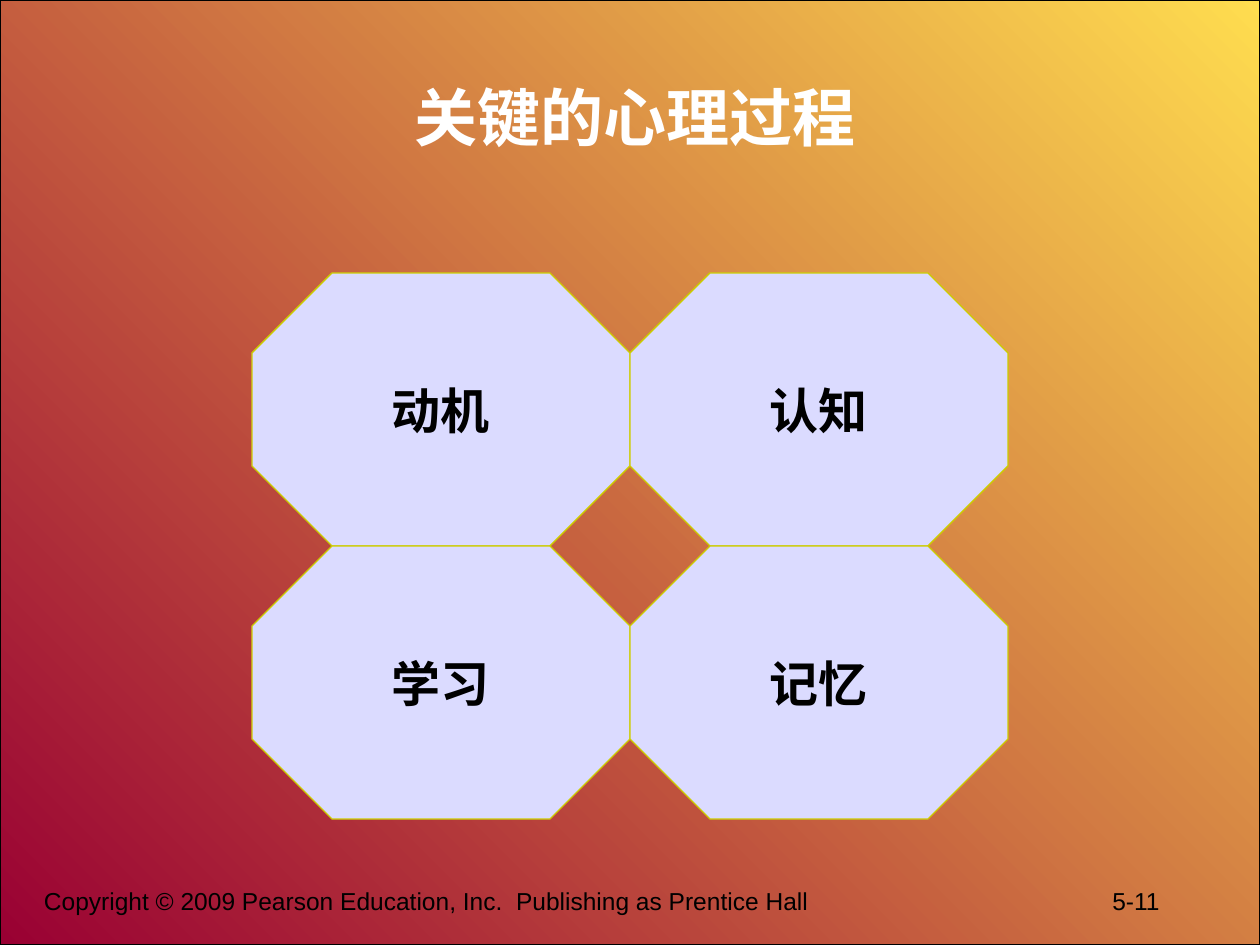
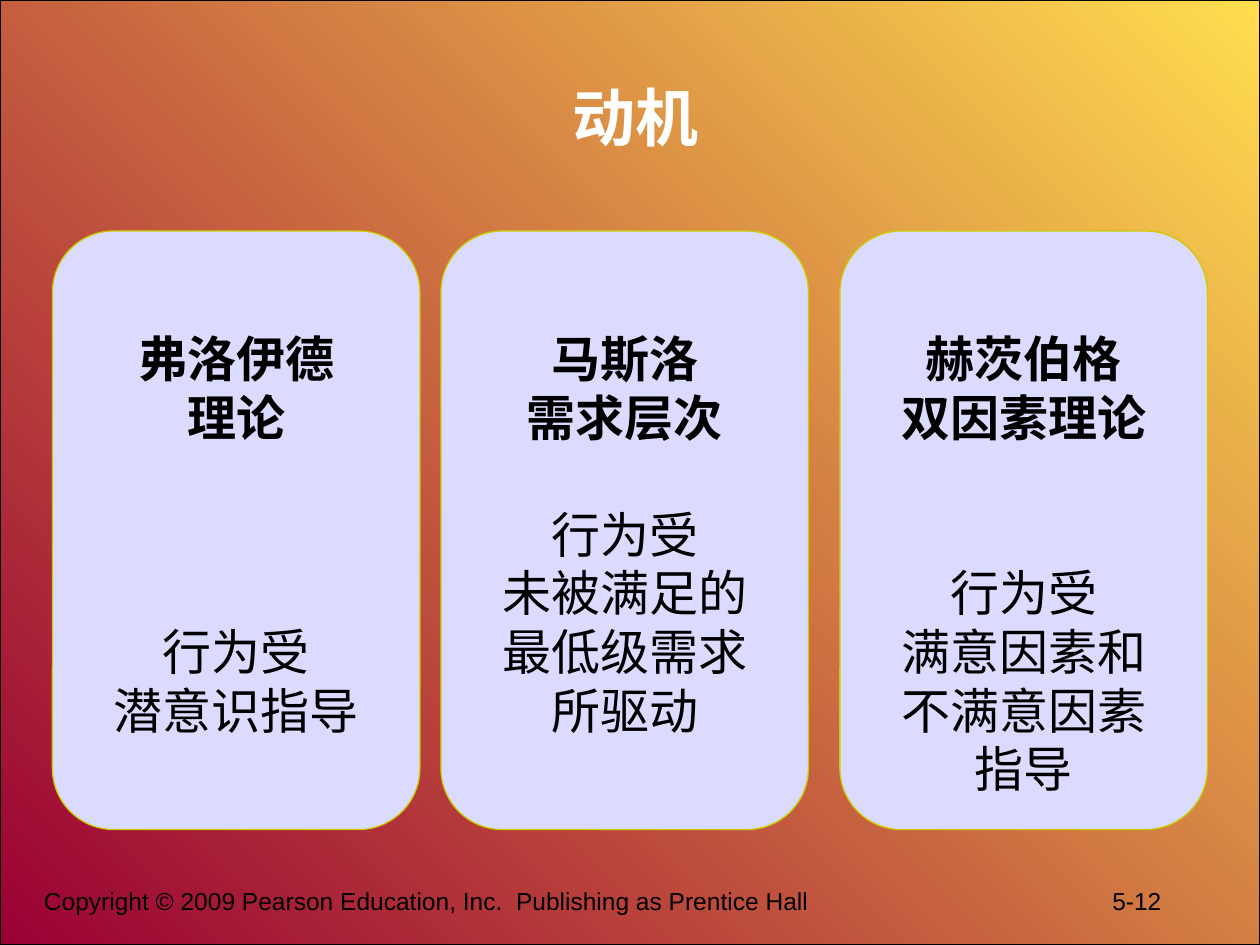
from dataclasses import dataclass

from lxml.etree import SubElement
from pptx import Presentation
from pptx.dml.color import RGBColor
from pptx.enum.shapes import MSO_SHAPE
from pptx.enum.text import MSO_ANCHOR, PP_ALIGN
from pptx.oxml.ns import qn
from pptx.presentation import Presentation as Deck
from pptx.shapes.autoshape import Shape
from pptx.slide import Slide
from pptx.text.text import TextFrame, _Paragraph as Para
from pptx.util import Pt


@dataclass(frozen=True)
class Theme:
    sun: RGBColor = RGBColor(0xFF, 0xDD, 0x4F)
    wine: RGBColor = RGBColor(0x99, 0x00, 0x33)
    pale: RGBColor = RGBColor(0xDB, 0xDB, 0xFF)
    olive: RGBColor = RGBColor(0xCC, 0xCC, 0x00)
    ink: RGBColor = RGBColor(0x00, 0x00, 0x00)
    white: RGBColor = RGBColor(0xFF, 0xFF, 0xFF)
    latin: str = "Arial"
    asian: str = "Noto Sans CJK SC"
    head: float = 36
    body: float = 28
    foot: float = 14
    pitch: float = 33.5
    edge: float = 0.75


@dataclass(frozen=True)
class Box:
    left: float
    top: float
    width: float
    height: float

    def place(self) -> tuple[Pt, Pt, Pt, Pt]:
        return Pt(self.left), Pt(self.top), Pt(self.width), Pt(self.height)


@dataclass(frozen=True)
class Theory:
    """A card; gap and drop count text lines between and above its parts."""
    left: float
    name: list[str]
    claim: list[str]
    gap: int
    drop: int = 0


THEME = Theme()
PAGE = Box(0, 0, 720, 540)
TITLE = Box(60, 21.6, 606, 90)
FOOT = Box(18, 502.5, 672, 37.5)
PAGE_TAB = 610.5
RIGHTS = "Copyright © 2009 Pearson Education, Inc.  Publishing as Prentice Hall"

TOPICS = [["动机", "认知"], ["学习", "记忆"]]
TILE = Box(144, 156, 216, 156)
CARD = Box(30, 132, 210, 342)
NUDGE = 4
THEORIES = [
    Theory(30, ["弗洛伊德", "理论"], ["行为受", "潜意识指导"], 3),
    Theory(252, ["马斯洛", "需求层次"],
           ["行为受", "未被满足的", "最低级需求", "所驱动"], 1),
    Theory(480, ["赫茨伯格", "双因素理论"],
           ["行为受", "满意因素和", "不满意因素", "指导"], 2, 1),
]


def write(para: Para, text: str, size: float, color: RGBColor,
          bold: bool = False, face: str = THEME.latin) -> None:
    run = para.add_run()
    run.text = text
    font = run.font
    font.name, font.size, font.bold = face, Pt(size), bold
    font.color.rgb = color
    SubElement(run._r.get_or_add_rPr(), qn("a:ea"), typeface=THEME.asian)


def add_line(frame: TextFrame, first: bool) -> Para:
    para = frame.paragraphs[0] if first else frame.add_paragraph()
    para.alignment = PP_ALIGN.CENTER
    return para


def add_panel(slide: Slide, kind: MSO_SHAPE, box: Box) -> Shape:
    panel = slide.shapes.add_shape(kind, *box.place())
    panel.shadow.inherit = False
    panel.fill.solid()
    panel.fill.fore_color.rgb = THEME.pale
    panel.line.color.rgb = THEME.olive
    panel.line.width = Pt(THEME.edge)
    frame = panel.text_frame
    frame.word_wrap = False
    frame.vertical_anchor = MSO_ANCHOR.MIDDLE
    return panel


def add_ground(deck: Deck, slide: Slide) -> None:
    """Draw the gradient backdrop and move it to the slide master."""
    ground = slide.shapes.add_shape(MSO_SHAPE.RECTANGLE, *PAGE.place())
    ground.shadow.inherit = False
    ground.fill.gradient()
    ground.fill.gradient_angle = 225
    for stop, color in zip(ground.fill.gradient_stops, (THEME.sun, THEME.wine)):
        stop.color.rgb = color
    ground.line.color.rgb = THEME.ink
    ground.line.width = Pt(THEME.edge)
    deck.slide_master.shapes.element.insert(2, ground.element)


def add_foot(slide: Slide, number: str) -> None:
    frame = slide.shapes.add_textbox(*FOOT.place()).text_frame
    frame.word_wrap = True
    para = frame.paragraphs[0]
    tabs = SubElement(para._p.get_or_add_pPr(), qn("a:tabLst"))
    SubElement(tabs, qn("a:tab"), pos=str(Pt(PAGE_TAB)), algn="l")
    write(para, f"{RIGHTS}\t{number}", THEME.foot, THEME.ink)


def add_page(deck: Deck, title: str, number: str) -> Slide:
    slide = deck.slides.add_slide(deck.slide_layouts.get_by_name("Title Only"))
    head = slide.shapes.title
    head.left, head.top, head.width, head.height = TITLE.place()
    head.text_frame.vertical_anchor = MSO_ANCHOR.MIDDLE
    write(add_line(head.text_frame, True), title, THEME.head, THEME.white,
          True, THEME.asian)
    add_foot(slide, number)
    return slide


def add_topics(slide: Slide) -> None:
    for row, names in enumerate(TOPICS):
        for col, name in enumerate(names):
            box = Box(TILE.left + col * TILE.width,
                      TILE.top + row * TILE.height, TILE.width, TILE.height)
            tile = add_panel(slide, MSO_SHAPE.OCTAGON, box)
            tile.adjustments[0] = 0.293
            write(add_line(tile.text_frame, True), name, THEME.body,
                  THEME.ink, True)


def add_theory(slide: Slide, item: Theory) -> None:
    box = Box(item.left, CARD.top, CARD.width, CARD.height)
    frame = add_panel(slide, MSO_SHAPE.ROUNDED_RECTANGLE, box).text_frame
    frame.margin_top = Pt(3.6 + NUDGE + item.drop * THEME.pitch)
    split = len(item.name)
    for index, text in enumerate(item.name + item.claim):
        para = add_line(frame, index == 0)
        para.line_spacing = Pt(THEME.pitch)
        if index == split:
            para.space_before = Pt(item.gap * THEME.pitch)
        write(para, text, THEME.body, THEME.ink, index < split)


def main() -> None:
    deck = Presentation()
    deck.slide_width, deck.slide_height = Pt(PAGE.width), Pt(PAGE.height)
    slide = add_page(deck, "关键的心理过程", "5-11")
    add_ground(deck, slide)
    add_topics(slide)
    slide = add_page(deck, "动机", "5-12")
    for item in THEORIES:
        add_theory(slide, item)
    deck.save("out.pptx")


if __name__ == "__main__":
    main()
